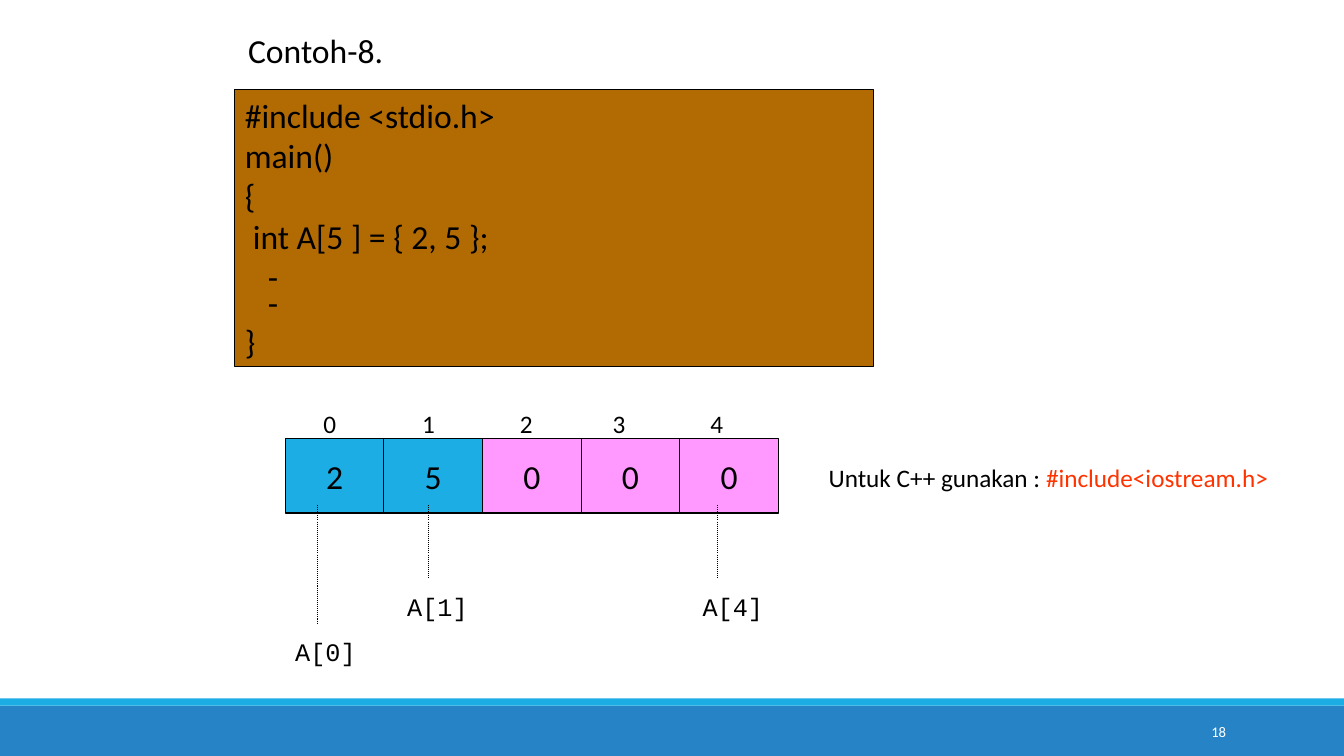
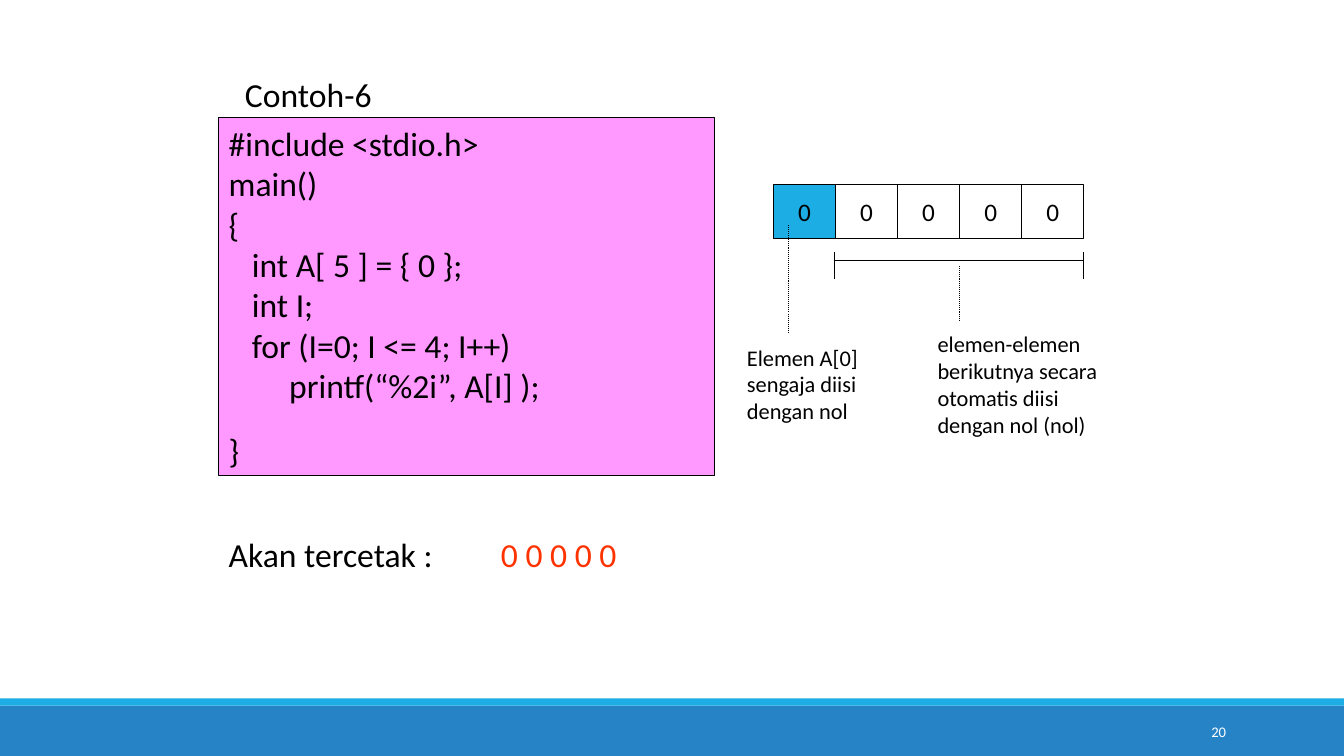
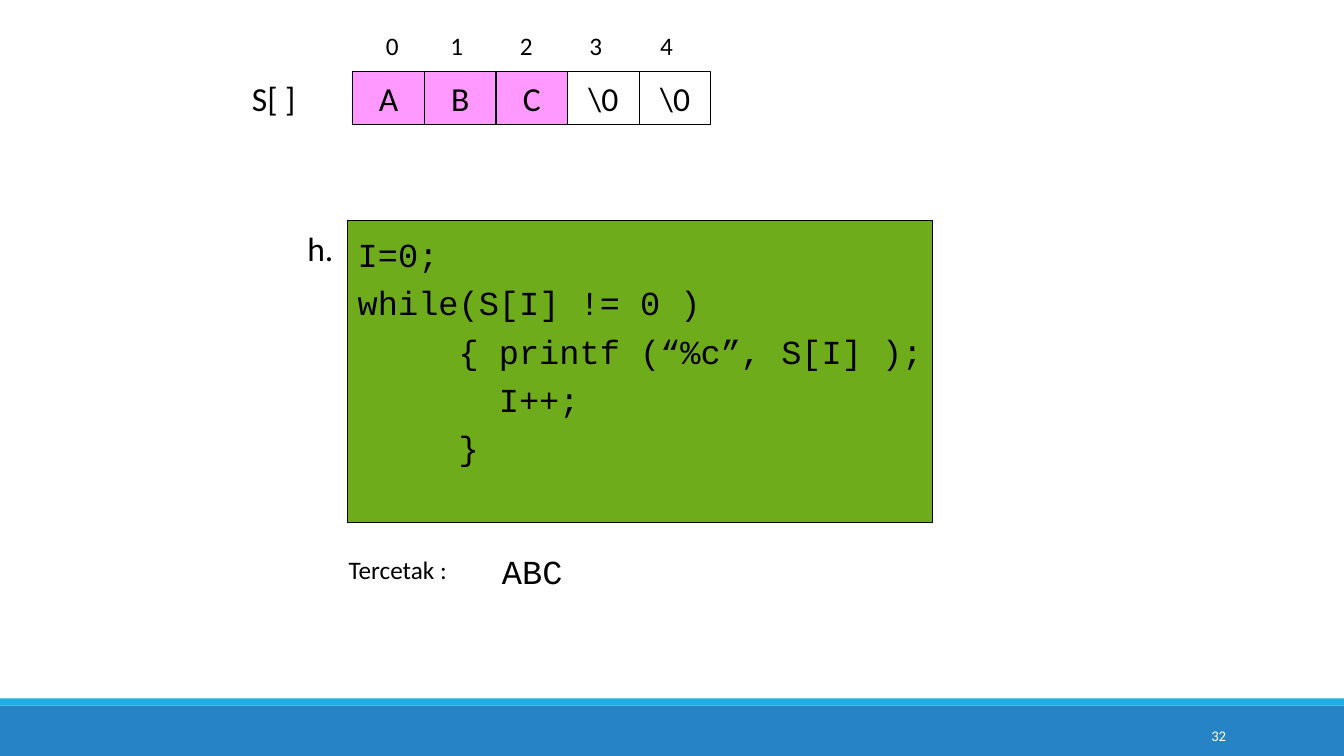
from dataclasses import dataclass

from lxml.etree import SubElement
from pptx import Presentation
from pptx.dml.color import RGBColor
from pptx.enum.dml import MSO_LINE
from pptx.enum.shapes import MSO_CONNECTOR, MSO_SHAPE
from pptx.enum.text import MSO_ANCHOR, MSO_AUTO_SIZE, PP_ALIGN
from pptx.oxml.ns import qn
from pptx.util import Inches, Pt

BLACK = RGBColor(0x00, 0x00, 0x00)
WHITE = RGBColor(0xFF, 0xFF, 0xFF)
RED = RGBColor(0xFF, 0x33, 0x00)
BLUE = RGBColor(0x26, 0x83, 0xC6)
CYAN = RGBColor(0x1C, 0xAD, 0xE4)
PINK = RGBColor(0xFF, 0x99, 0xFF)
BROWN = RGBColor(0xB2, 0x6B, 0x02)
GREEN = RGBColor(0x6E, 0xAC, 0x1C)
SANS = "Calibri"
MONO = "Courier New"
TITLE_ONLY, BLANK = 5, 6


@dataclass
class Line:
    """One line of text with its indent in inches and its spacing."""
    text: str
    indent: float = 0
    spacing: float = 1.0
    before: float = 0


def add_run(paragraph, text, size, font=SANS, color=BLACK):
    """Append a formatted run to a paragraph."""
    run = paragraph.add_run()
    run.text = text
    run.font.size = Pt(size)
    run.font.name = font
    run.font.color.rgb = color


def write_lines(frame, lines, size, font=SANS, color=BLACK, align=PP_ALIGN.LEFT,
                anchor=MSO_ANCHOR.TOP, wrap=False):
    """Fill a text frame, one paragraph for each line."""
    frame.word_wrap = wrap
    frame.auto_size = MSO_AUTO_SIZE.NONE
    frame.vertical_anchor = anchor
    for number, line in enumerate(lines):
        paragraph = frame.add_paragraph() if number else frame.paragraphs[0]
        paragraph.alignment = align
        paragraph.line_spacing = line.spacing
        paragraph.space_before = Pt(line.before)
        if line.indent:
            properties = paragraph._p.get_or_add_pPr()
            properties.set("marL", str(Inches(line.indent)))
            properties.set("indent", "0")
        add_run(paragraph, line.text, size, font, color)


def add_label(slide, box, text, size, **style):
    """Place free text, one paragraph for each row of the string."""
    label = slide.shapes.add_textbox(*map(Inches, box))
    write_lines(label.text_frame, [Line(row) for row in text.split("\n")], size, **style)
    return label


def add_rect(shapes, box, fill, outline=None):
    """Place a flat rectangle."""
    rect = shapes.add_shape(MSO_SHAPE.RECTANGLE, *map(Inches, box))
    rect.shadow.inherit = False
    if fill is None:
        rect.fill.background()
    else:
        rect.fill.solid()
        rect.fill.fore_color.rgb = fill
    if outline is None:
        rect.line.fill.background()
    else:
        rect.line.color.rgb = outline
        rect.line.width = Pt(0.75)
    return rect


def add_rule(slide, start, end, dotted=False):
    """Draw a thin straight line."""
    ends = map(Inches, (*start, *end))
    rule = slide.shapes.add_connector(MSO_CONNECTOR.STRAIGHT, *ends)
    rule.line.color.rgb = BLACK
    rule.line.width = Pt(0.75)
    if dotted:
        rule.line.dash_style = MSO_LINE.ROUND_DOT
    SubElement(rule._element.spPr, qn("a:effectLst"))


def add_title(slide, box, text):
    """Move the title placeholder to its box and fill it."""
    title = slide.shapes.title
    title.left, title.top, title.width, title.height = map(Inches, box)
    write_lines(title.text_frame, [Line(text)], 24)


def add_code(slide, box, fill, lines, font=SANS, wrap=True):
    """Place a listing in an outlined panel."""
    panel = add_rect(slide.shapes, box, fill, BLACK)
    write_lines(panel.text_frame, lines, 24, font, wrap=wrap)


def add_array(slide, box, cells, size):
    """Split the box into equal cells given as value and fill."""
    left, top, width, height = box
    pitch = width / len(cells)
    for index, (value, fill) in enumerate(cells):
        cell = add_rect(slide.shapes, (left + index * pitch, top, pitch, height), fill, BLACK)
        write_lines(cell.text_frame, [Line(value)], size, align=PP_ALIGN.CENTER,
                    anchor=MSO_ANCHOR.MIDDLE)


def add_indices(slide, top, centers):
    """Number the array cells above the row."""
    for index, center in enumerate(centers):
        add_label(slide, (center - 0.2, top, 0.4, 0.4), str(index), 18, align=PP_ALIGN.CENTER)


def add_bands(deck, slide):
    """Draw the bottom bands and hand them to the slide master."""
    tree = deck.slide_master.shapes.element
    for position, (top, height, fill) in enumerate(((7, 0.5, BLUE), (6.93, 0.07, CYAN))):
        band = add_rect(slide.shapes, (0, top, 13.33, height), fill)
        tree.insert(2 + position, band.element)


def start_slide(deck, layout, number, number_top=7.06):
    """Add a slide with its page number."""
    slide = deck.slides.add_slide(deck.slide_layouts[layout])
    add_label(slide, (10.83, number_top, 1.43, 0.4), number, 10.5, color=WHITE,
              align=PP_ALIGN.RIGHT, anchor=MSO_ANCHOR.MIDDLE, wrap=True)
    return slide


def build_partial_fill(deck):
    """Array with two given values and zeros after them."""
    slide = start_slide(deck, TITLE_ONLY, "18")
    add_bands(deck, slide)
    add_title(slide, (2.36, 0.25, 1.55, 0.5), "Contoh-8.")
    add_code(slide, (2.33, 0.89, 6.33, 2.75), BROWN, [
        Line("#include <stdio.h>"),
        Line("main()"),
        Line("{"),
        Line("int A[5 ] = { 2, 5 };", 0.08),
        Line("-", 0.23),
        Line("-", 0.23, spacing=0.6),
        Line("}"),
    ])
    add_indices(slide, 4, (3.27, 4.25, 5.22, 6.14, 7.11))
    add_array(slide, (2.83, 4.35, 4.89, 0.74),
              [("2", CYAN), ("5", CYAN)] + [("0", PINK)] * 3, 24)
    for element, x, bottom, label_left in (("A[0]", 3.15, 6.18, 2.83),
                                           ("A[1]", 4.25, 5.74, 3.94),
                                           ("A[4]", 7.12, 5.74, 6.87)):
        add_rule(slide, (x, 5.01), (x, bottom), dotted=True)
        add_label(slide, (label_left, bottom + 0.08, 0.8, 0.4), element, 18, font=MONO)
    hint = add_label(slide, (8.12, 4.54, 4.61, 0.4), "Untuk C++ gunakan : ", 18)
    add_run(hint.text_frame.paragraphs[0], "#include<iostream.h>", 18, color=RED)


def build_zero_fill(deck):
    """Array whose first zero is given and the rest automatic."""
    slide = start_slide(deck, TITLE_ONLY, "20")
    add_title(slide, (2.33, 0.68, 1.47, 0.5), "Contoh-6")
    add_code(slide, (2.17, 1.17, 4.92, 3.55), PINK, [
        Line("#include <stdio.h>"),
        Line("main()"),
        Line("{"),
        Line("int A[ 5 ] = { 0 };", 0.23),
        Line("int I;", 0.23),
        Line("for (I=0; I <= 4; I++)", 0.23),
        Line("printf(“%2i”, A[I] );", 0.6),
        Line("}", before=17.6),
    ])
    add_label(slide, (2.17, 5.25, 2.39, 0.5), "Akan tercetak :", 24)
    add_label(slide, (4.87, 5.25, 1.35, 0.5), "0 0 0 0 0", 24, color=RED)
    add_array(slide, (7.67, 1.83, 3.08, 0.54), [("0", CYAN)] + [("0", None)] * 4, 18)
    bracket_left, bracket_right = 8.28, 10.75
    add_rule(slide, (bracket_left, 2.58), (bracket_right, 2.58))
    for x in (bracket_left, bracket_right):
        add_rule(slide, (x, 2.5), (x, 2.77))
    add_rule(slide, (7.82, 2.23), (7.82, 3.31), dotted=True)
    add_rule(slide, (9.52, 2.64), (9.52, 3.18), dotted=True)
    add_label(slide, (7.31, 3.36, 1.32, 0.91), "Elemen A[0]\nsengaja diisi\ndengan nol", 16)
    add_label(slide, (9.2, 3.23, 1.91, 1.18),
              "elemen-elemen berikutnya secara otomatis diisi dengan nol (nol)", 16, wrap=True)


def build_string_loop(deck):
    """Character array printed by a while loop."""
    slide = start_slide(deck, BLANK, "32", 7.1)
    add_indices(slide, 0.25, (3.89, 4.53, 5.22, 5.91, 6.61))
    add_label(slide, (2.4, 0.72, 0.64, 0.5), "S[ ]", 24)
    add_array(slide, (3.5, 0.71, 3.55, 0.53),
              [(letter, PINK) for letter in "ABC"] + [("\\0", None)] * 2, 24)
    add_label(slide, (2.95, 2.21, 0.48, 0.5), "h.", 24)
    add_code(slide, (3.45, 2.19, 5.8, 2.99), GREEN, [
        Line("I=0;", spacing=1.2),
        Line("while(S[I] != 0 )", spacing=1.2),
        Line("{ printf (“%c”, S[I] );", 1, spacing=1.2),
        Line("I++;", 1.4, spacing=1.2),
        Line("}", 1, spacing=1.2),
    ], MONO, wrap=False)
    add_label(slide, (3.36, 5.45, 1.19, 0.4), "Tercetak :", 18)
    add_label(slide, (4.88, 5.42, 0.8, 0.5), "ABC", 24, font=MONO)


def main():
    """Build the deck and save it."""
    deck = Presentation()
    deck.slide_width, deck.slide_height = Inches(13.33), Inches(7.5)
    build_partial_fill(deck)
    build_zero_fill(deck)
    build_string_loop(deck)
    deck.save("out.pptx")


if __name__ == "__main__":
    main()
